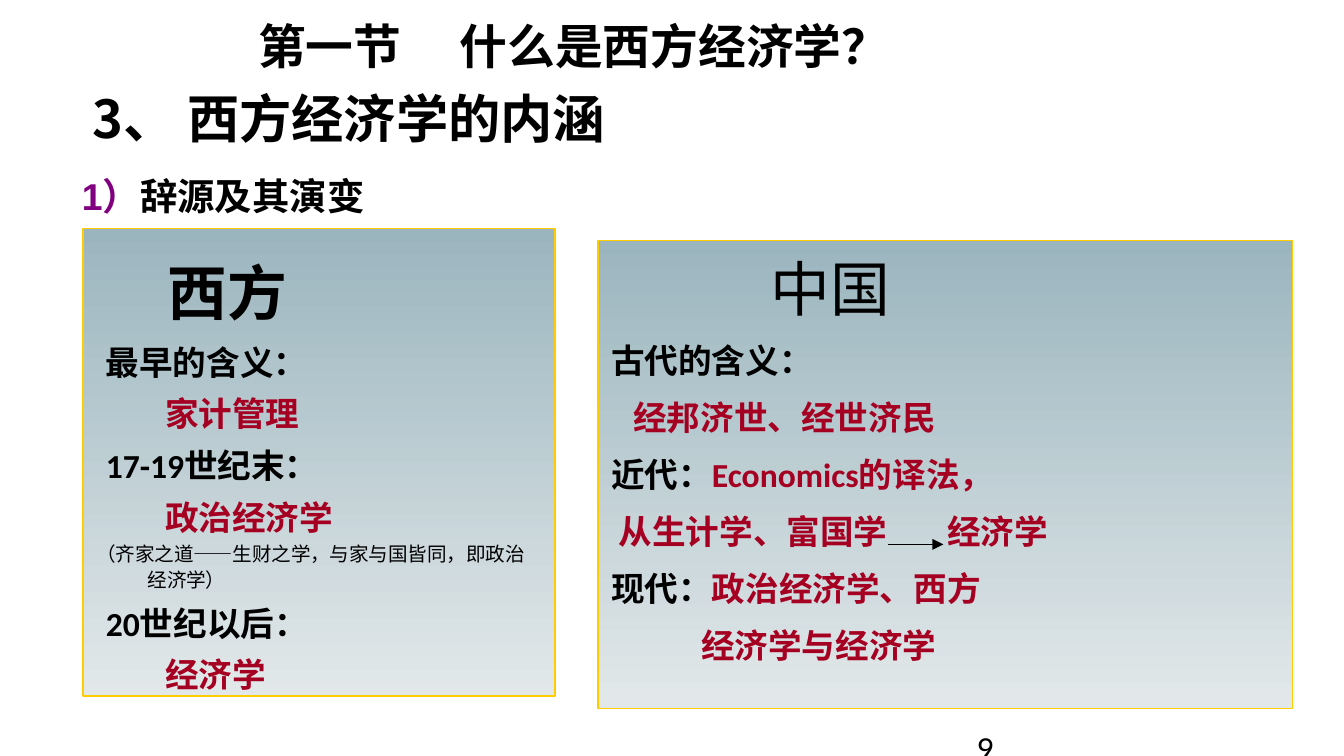
from lxml import etree
from pptx import Presentation
from pptx.dml.color import RGBColor
from pptx.enum.shapes import MSO_CONNECTOR as Connector, MSO_SHAPE as Shape
from pptx.enum.text import MSO_ANCHOR as Anchor, PP_ALIGN as Align
from pptx.oxml.ns import qn
from pptx.util import Cm, Pt

COLORS = {"ink": "000000", "answer": "A50021", "number": "800080",
          "border": "FFCC00", "top": "9BB5BE", "bottom": "E2E8EA"}
CJK = "Noto Sans CJK SC"


def rgb(name):
    return RGBColor.from_string(COLORS[name])


def add_text(paragraph, text, size=18, color="ink", bold=True, font="Calibri"):
    run = paragraph.add_run()
    run.text = text
    run.font.size = Pt(size)
    run.font.bold = bold
    run.font.name = font
    run.font.color.rgb = rgb(color)
    etree.SubElement(run.font._element, qn("a:ea"), typeface=CJK)


def set_layout(paragraph, left=0, hanging=0, line=None, before=0, tab=None):
    paragraph.alignment = Align.LEFT
    paragraph.space_before = Pt(before)
    if line:
        paragraph.line_spacing = Pt(line)
    properties = paragraph._p.get_or_add_pPr()
    properties.set("marL", str(Cm(left)))
    properties.set("indent", str(-Cm(hanging)))
    if tab:
        stops = etree.SubElement(properties, qn("a:tabLst"))
        etree.SubElement(stops, qn("a:tab"), pos=str(Cm(tab)), algn="l")


class SlideBuilder:
    def __init__(self, slide):
        self.slide = slide

    def fill_frame(self, frame, lines, anchor):
        frame.word_wrap = True
        frame.vertical_anchor = anchor
        for index, (runs, layout) in enumerate(lines):
            paragraph = frame.add_paragraph() if index else frame.paragraphs[0]
            set_layout(paragraph, **layout)
            for text, style in runs:
                add_text(paragraph, text, **style)

    def label(self, left, top, width, height, runs, anchor=Anchor.MIDDLE, **layout):
        box = self.slide.shapes.add_textbox(Cm(left), Cm(top), Cm(width), Cm(height))
        self.fill_frame(box.text_frame, [(runs, layout)], anchor)

    def panel(self, left, top, width, height, lines):
        shape = self.slide.shapes.add_shape(
            Shape.RECTANGLE, Cm(left), Cm(top), Cm(width), Cm(height))
        shape.shadow.inherit = False
        shape.fill.gradient()
        shape.fill.gradient_angle = 270
        for stop, name in zip(shape.fill.gradient_stops, ("top", "bottom")):
            stop.color.rgb = rgb(name)
        shape.line.color.rgb = rgb("border")
        shape.line.width = Pt(0.75)
        self.fill_frame(shape.text_frame, lines, Anchor.TOP)

    def arrow(self, start, end, y):
        line = self.slide.shapes.add_connector(
            Connector.STRAIGHT, Cm(start), Cm(y), Cm(end), Cm(y))
        line.line.color.rgb = rgb("ink")
        line.line.width = Pt(0.75)
        etree.SubElement(line.line._get_or_add_ln(), qn("a:tailEnd"), type="triangle")
        etree.SubElement(line._element.spPr, qn("a:effectLst"))


def main():
    presentation = Presentation()
    presentation.slide_width = Cm(25.4)
    presentation.slide_height = Cm(14.29)
    builder = SlideBuilder(presentation.slides.add_slide(presentation.slide_layouts[6]))

    answer = {"color": "answer"}
    west_term = {"left": 0.18, "line": 27.6}
    west_answer = {"left": 1.3, "line": 27.6}
    note = {"size": 10.5, "bold": False}
    west = [
        ([("西方", {"size": 32})], {"left": 1.35, "line": 49.7}),
        ([("最早的含义：", {})], {**west_term, "before": 1.5}),
        ([("家计管理", answer)], west_answer),
        ([("17-19世纪末：", {})], west_term),
        ([("政治经济学", answer)], west_answer),
        ([("（齐家之道", note), ("——", {**note, "font": "Times New Roman"}),
          ("生财之学，与家与国皆同，即政治经济学）", note)],
         {"left": 0.97, "hanging": 0.97, "line": 14, "before": 1.3}),
        ([("20世纪以后：", {})], west_term),
        ([("经济学", answer)], west_answer),
    ]
    row = {"line": 30.5}
    china = [
        ([("中国", {"size": 32, "bold": False})], {"left": 3.02, "line": 41}),
        ([("古代的含义：", {})], row),
        ([("经邦济世、经世济民", answer)], {**row, "left": 0.42}),
        ([("近代：", {}), ("Economics的译法，", answer)], row),
        ([(" 从生计学、富国学\t经济学", answer)], {**row, "tab": 6.2}),
        ([("现代：", {}), ("政治经济学、西方", answer)], row),
        ([("经济学与经济学", answer)], {**row, "left": 1.7}),
    ]

    builder.label(1.5, 1.63, 15.29, 1.19,
                  [("3、 西方经济学的内涵", {"size": 28, "font": CJK})])
    builder.panel(1.57, 4.32, 8.92, 8.84, west)
    builder.panel(11.3, 4.55, 13.13, 8.84, china)
    builder.label(18.21, 13.61, 5.92, 0.51, [("9", {"bold": False})], Anchor.TOP)
    builder.arrow(16.79, 17.83, 10.29)
    builder.label(4.63, 0.05, 17.14, 1.63,
                  [("第一节\t什么是西方经济学？", {"size": 25.6, "font": CJK})], tab=3.1)
    builder.label(1.3, 3.12, 15.29, 1.17,
                  [("1）", {"size": 20, "color": "number", "font": "Arial"}),
                   ("辞源及其演变", {"size": 20, "font": "Arial"})])

    presentation.save("out.pptx")


if __name__ == "__main__":
    main()
